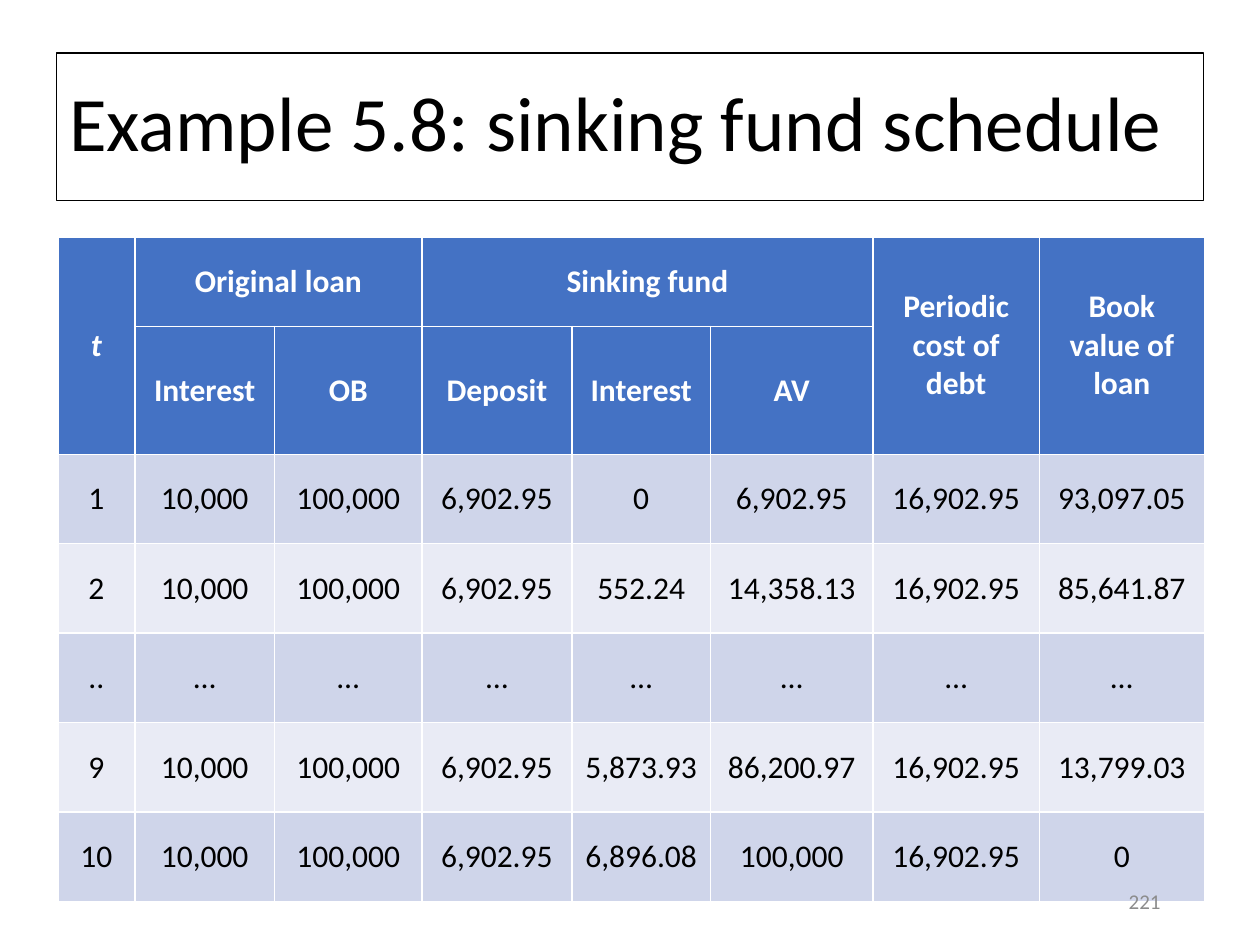
import dataclasses
from typing import Optional

import pptx
import pptx.dml.color
import pptx.enum.shapes
import pptx.enum.text
import pptx.oxml
import pptx.oxml.ns
import pptx.util

RGBColor = pptx.dml.color.RGBColor
Align = pptx.enum.text.PP_ALIGN
BLACK = RGBColor(0x00, 0x00, 0x00)
WHITE = RGBColor(0xFF, 0xFF, 0xFF)
GREY = RGBColor(0x8C, 0x8C, 0x8C)
HEADER_BLUE = RGBColor(0x44, 0x72, 0xC4)
BAND_DARK = RGBColor(0xCF, 0xD5, 0xEA)
BAND_LIGHT = RGBColor(0xE9, 0xEB, 0xF5)

FONT = "Calibri"
SLIDE_WIDTH = pptx.util.Inches(10)
SLIDE_HEIGHT = pptx.util.Inches(7.5)


@dataclasses.dataclass(frozen=True)
class Area:
    """A rectangle in inches."""
    left: float
    top: float
    width: float
    height: float

    def lengths(self) -> tuple:
        return tuple(pptx.util.Inches(value) for value in dataclasses.astuple(self))


@dataclasses.dataclass(frozen=True)
class Heading:
    """A header cell, placed and spanned in rows and columns of the table."""
    text: str
    row: int
    column: int
    rows: int = 1
    columns: int = 1
    italic: bool = False


TITLE_AREA = Area(0.45, 0.42, 9.1, 1.17)
NUMBER_AREA = Area(7.06, 6.95, 2.25, 0.4)
TABLE_AREA = Area(0.46, 1.88, 9.1, 4.97)
COLUMN_WIDTHS = (0.61, 1.11, 1.17, 1.19, 1.1, 1.29, 1.32, 1.31)
HEADER_ROWS = 2

HEADINGS = (
    Heading("t", 0, 0, rows=2, italic=True),
    Heading("Original loan", 0, 1, columns=2),
    Heading("Sinking fund", 0, 3, columns=3),
    Heading("Periodic cost of debt", 0, 6, rows=2),
    Heading("Book value of loan", 0, 7, rows=2),
    Heading("Interest", 1, 1),
    Heading("OB", 1, 2),
    Heading("Deposit", 1, 3),
    Heading("Interest", 1, 4),
    Heading("AV", 1, 5),
)

# The loan interest, balance, deposit and periodic cost are level every year
INTEREST, BALANCE, DEPOSIT, COST = "10,000", "100,000", "6,902.95", "16,902.95"


def year(t: str, fund_interest: str, fund_value: str, book_value: str) -> tuple:
    return (t, INTEREST, BALANCE, DEPOSIT, fund_interest, fund_value, COST, book_value)


SCHEDULE = (
    year("1", "0", "6,902.95", "93,097.05"),
    year("2", "552.24", "14,358.13", "85,641.87"),
    ("..",) + ("…",) * 7,
    year("9", "5,873.93", "86,200.97", "13,799.03"),
    year("10", "6,896.08", "100,000", "0"),
)


def write_text(text_frame, text: str, *, size: float, color: RGBColor,
               align=Align.CENTER, bold: bool = False, italic: bool = False,
               line_spacing: Optional[float] = None) -> None:
    text_frame.word_wrap = True
    paragraph = text_frame.paragraphs[0]
    paragraph.alignment = align
    paragraph.line_spacing = line_spacing
    run = paragraph.add_run()
    run.text = text
    font = run.font
    font.name, font.size = FONT, pptx.util.Pt(size)
    font.bold, font.italic = bold, italic
    font.color.rgb = color


def set_borders(cell, color: RGBColor, width: float) -> None:
    properties = cell._tc.get_or_add_tcPr()
    for index, side in enumerate(("lnL", "lnR", "lnT", "lnB")):
        properties.insert(index, pptx.oxml.parse_xml(
            f'<a:{side} {pptx.oxml.ns.nsdecls("a")} w="{pptx.util.Pt(width)}">'
            f'<a:solidFill><a:srgbClr val="{color}"/></a:solidFill></a:{side}>'))


def style_cell(cell, fill: RGBColor) -> None:
    cell.fill.solid()
    cell.fill.fore_color.rgb = fill
    cell.vertical_anchor = pptx.enum.text.MSO_ANCHOR.MIDDLE
    set_borders(cell, WHITE, 1)


def row_fill(row: int) -> RGBColor:
    if row < HEADER_ROWS:
        return HEADER_BLUE
    return BAND_LIGHT if (row - HEADER_ROWS) % 2 else BAND_DARK


def add_title(slide) -> None:
    shape = slide.shapes.add_shape(
        pptx.enum.shapes.MSO_SHAPE.RECTANGLE, *TITLE_AREA.lengths())
    shape.shadow.inherit = False
    shape.fill.background()
    shape.line.color.rgb = BLACK
    shape.line.width = pptx.util.Pt(0.75)
    shape.text_frame.vertical_anchor = pptx.enum.text.MSO_ANCHOR.MIDDLE
    write_text(shape.text_frame, "Example 5.8: sinking fund schedule", size=44,
               color=BLACK, align=Align.LEFT, line_spacing=0.9)


def add_slide_number(slide) -> None:
    shape = slide.shapes.add_textbox(*NUMBER_AREA.lengths())
    shape.text_frame.vertical_anchor = pptx.enum.text.MSO_ANCHOR.MIDDLE
    write_text(shape.text_frame, "221", size=12, color=GREY, align=Align.RIGHT)


def add_schedule(slide) -> None:
    row_count = HEADER_ROWS + len(SCHEDULE)
    table = slide.shapes.add_table(
        row_count, len(COLUMN_WIDTHS), *TABLE_AREA.lengths()).table
    for column, width in zip(table.columns, COLUMN_WIDTHS):
        column.width = pptx.util.Inches(width)
    for row_index, row in enumerate(table.rows):
        row.height = pptx.util.Inches(TABLE_AREA.height / row_count)
        for cell in row.cells:
            style_cell(cell, row_fill(row_index))

    # Header cells
    for heading in HEADINGS:
        cell = table.cell(heading.row, heading.column)
        if heading.rows * heading.columns > 1:
            cell.merge(table.cell(heading.row + heading.rows - 1,
                                  heading.column + heading.columns - 1))
        write_text(cell.text_frame, heading.text, size=18, color=WHITE,
                   bold=True, italic=heading.italic)

    # Yearly values
    for row_index, values in enumerate(SCHEDULE, start=HEADER_ROWS):
        for column_index, value in enumerate(values):
            write_text(table.cell(row_index, column_index).text_frame, value,
                       size=18, color=BLACK)


def main() -> None:
    presentation = pptx.Presentation()
    presentation.slide_width, presentation.slide_height = SLIDE_WIDTH, SLIDE_HEIGHT
    slide = presentation.slides.add_slide(presentation.slide_layouts[6])
    slide.background.fill.solid()
    slide.background.fill.fore_color.rgb = WHITE
    add_title(slide)
    add_schedule(slide)
    # The number lies over the table's lower edge, so it comes last
    add_slide_number(slide)
    presentation.save("out.pptx")


if __name__ == "__main__":
    main()
